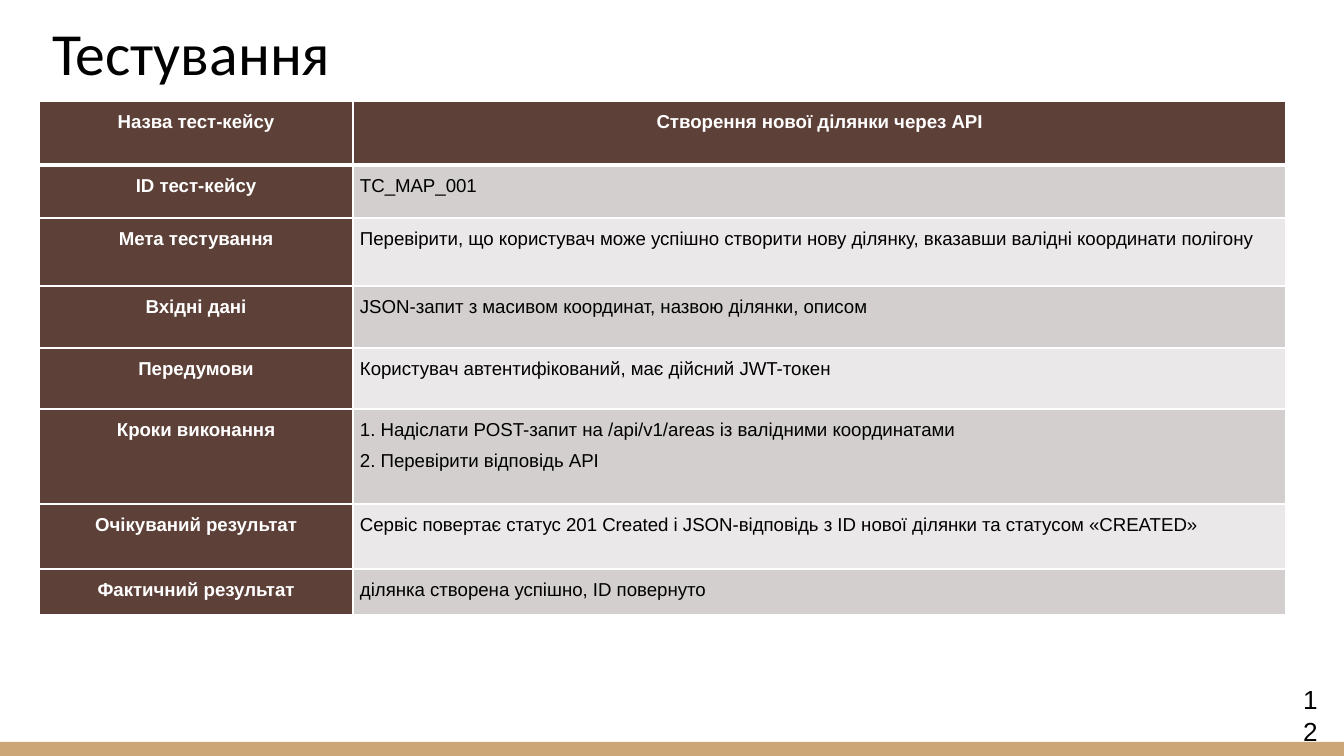
from dataclasses import dataclass

from lxml import etree
from pptx import Presentation
from pptx.dml.color import RGBColor
from pptx.enum.shapes import MSO_SHAPE
from pptx.enum.text import MSO_ANCHOR, MSO_AUTO_SIZE, PP_ALIGN
from pptx.oxml.ns import qn
from pptx.util import Pt

EMU_PER_PX = 914400 / 134.4
RECTANGLE = MSO_SHAPE.RECTANGLE
BOTTOM = MSO_ANCHOR.BOTTOM
FIXED_SIZE = MSO_AUTO_SIZE.NONE
LEFT, CENTER, JUSTIFY = PP_ALIGN.LEFT, PP_ALIGN.CENTER, PP_ALIGN.JUSTIFY


@dataclass(frozen=True)
class Theme:
    black: str = "000000"
    white: str = "FFFFFF"
    brown: str = "5D4037"
    sand: str = "CCA677"
    bands: tuple = ("D2CFCE", "EAE8E8")
    title_font: str = "Calibri"
    body_font: str = "Arial"
    title_size: int = 32
    number_size: int = 14
    cell_size: int = 10
    cell_spacing: float = 1.5
    thin_border: int = 1
    thick_border: int = 3


def px(value):
    return round(value * EMU_PER_PX)


class SlideBuilder:
    def __init__(self, slide, theme):
        self.slide = slide
        self.theme = theme

    def format_text(self, frame, font, size, color, align=LEFT, bold=False, spacing=None):
        for paragraph in frame.paragraphs:
            paragraph.alignment = align
            paragraph.line_spacing = spacing
            for run in paragraph.runs:
                run.font.name = font
                run.font.size = Pt(size)
                run.font.bold = bold
                run.font.color.rgb = RGBColor.from_string(color)

    def title(self, text, left, top, width, height):
        heading = self.slide.shapes.title
        heading.left, heading.top = px(left), px(top)
        heading.width, heading.height = px(width), px(height)
        frame = heading.text_frame
        frame.text = text
        frame.auto_size = FIXED_SIZE
        frame.vertical_anchor = BOTTOM
        frame.margin_left = frame.margin_right = px(13)
        frame.margin_top = frame.margin_bottom = px(13)
        self.format_text(frame, self.theme.title_font, self.theme.title_size, self.theme.black)

    def bar(self, left, top, width, height, color):
        strip = self.slide.shapes.add_shape(RECTANGLE, px(left), px(top), px(width), px(height))
        strip.shadow.inherit = False
        strip.fill.solid()
        strip.fill.fore_color.rgb = RGBColor.from_string(color)
        strip.line.fill.background()

    def page_number(self, text, left, top, width, height):
        number = self.slide.shapes.add_textbox(px(left), px(top), px(width), px(height))
        frame = number.text_frame
        frame.word_wrap = True
        frame.text = text
        self.format_text(frame, self.theme.body_font, self.theme.number_size, self.theme.black)

    def borders(self, cell, top, bottom):
        """Draw white cell borders; top and bottom are widths in points."""
        properties = cell._tc.get_or_add_tcPr()
        thin = self.theme.thin_border
        sides = (("a:lnL", thin), ("a:lnR", thin), ("a:lnT", top), ("a:lnB", bottom))
        for position, (side, width) in enumerate(sides):
            line = etree.Element(qn(side), w=str(Pt(width)))
            fill = etree.SubElement(line, qn("a:solidFill"))
            etree.SubElement(fill, qn("a:srgbClr"), val=self.theme.white)
            properties.insert(position, line)

    def cell(self, cell, text, row, is_label):
        theme = self.theme
        cell.margin_left = cell.margin_right = px(7)
        cell.margin_top = cell.margin_bottom = 0
        cell.text_frame.text = text
        self.format_text(
            cell.text_frame, theme.body_font, theme.cell_size,
            theme.white if is_label else theme.black,
            CENTER if is_label else JUSTIFY, is_label, theme.cell_spacing)
        background = theme.brown if is_label else theme.bands[(row - 1) % 2]
        cell.fill.solid()
        cell.fill.fore_color.rgb = RGBColor.from_string(background)
        self.borders(
            cell,
            theme.thick_border if row == 1 else theme.thin_border,
            theme.thick_border if row == 0 else theme.thin_border)

    def table(self, rows, left, top, column_widths, row_heights):
        """Fill a table whose first row and first column are labels."""
        frame = self.slide.shapes.add_table(
            len(rows), len(column_widths), px(left), px(top),
            px(sum(column_widths)), px(sum(row_heights)))
        grid = frame.table
        for column, width in zip(grid.columns, column_widths):
            column.width = px(width)
        for index, (texts, height) in enumerate(zip(rows, row_heights)):
            grid.rows[index].height = px(height)
            for column, text in enumerate(texts):
                self.cell(grid.cell(index, column), text, index, index == 0 or column == 0)


TEST_CASE = [
    ("Назва тест-кейсу", "Створення нової ділянки через API"),
    ("ID тест-кейсу", "TC_MAP_001"),
    ("Мета тестування", "Перевірити, що користувач може успішно створити нову ділянку, "
                        "вказавши валідні координати полігону"),
    ("Вхідні дані", "JSON-запит з масивом координат, назвою ділянки, описом"),
    ("Передумови", "Користувач автентифікований, має дійсний JWT-токен"),
    ("Кроки виконання", "1. Надіслати POST-запит на /api/v1/areas із валідними координатами\n"
                        "2. Перевірити відповідь API"),
    ("Очікуваний результат", "Сервіс повертає статус 201 Created і JSON-відповідь "
                             "з ID нової ділянки та статусом «CREATED»"),
    ("Фактичний результат", "ділянка створена успішно, ID повернуто"),
]


def main():
    theme = Theme()
    presentation = Presentation()
    presentation.slide_width, presentation.slide_height = px(1344), px(756)
    title_only = presentation.slide_layouts[5]
    builder = SlideBuilder(presentation.slides.add_slide(title_only), theme)

    builder.bar(0, 742, 1344, 14, theme.sand)
    builder.title("Тестування", 39, -21, 1253, 122)
    builder.page_number("12", 1290, 677, 42, 46)
    builder.table(TEST_CASE, 39, 101, (314, 933), (64, 53, 68, 62, 61, 95, 65, 46))
    presentation.save("out.pptx")


if __name__ == "__main__":
    main()
